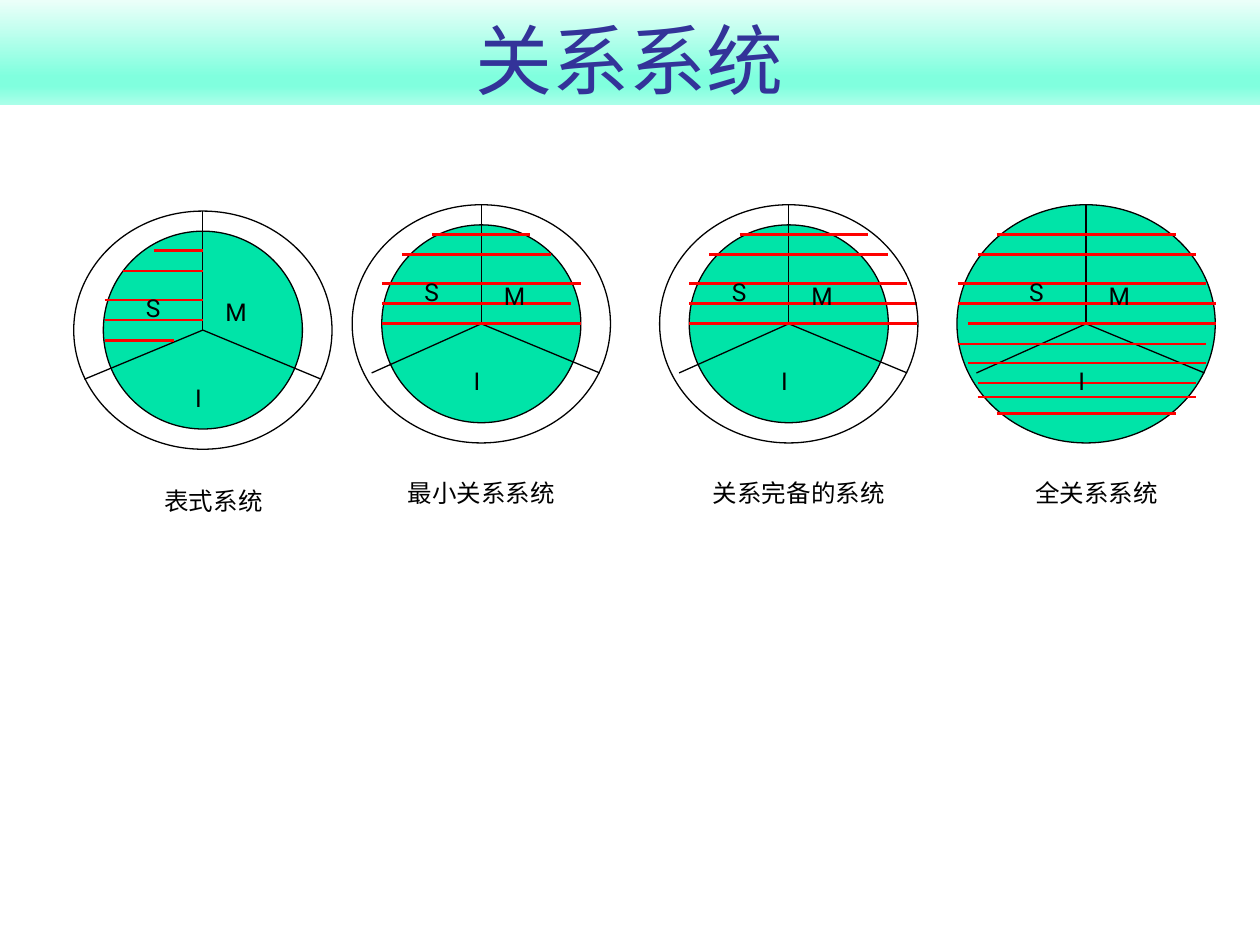
from copy import deepcopy
from dataclasses import dataclass

from pptx import Presentation
from pptx.dml.color import RGBColor
from pptx.enum.shapes import MSO_CONNECTOR, MSO_SHAPE
from pptx.enum.text import MSO_ANCHOR, PP_ALIGN
from pptx.oxml.ns import qn
from pptx.util import Inches, Pt
from lxml.etree import SubElement


@dataclass(frozen=True)
class Theme:
    font: str = "Roboto"
    title_color: str = "333399"
    ink: str = "000000"
    disc: str = "00E4A8"
    hatch: str = "FF0000"
    title_size: int = 44
    text_size: int = 14
    thin: float = 0.75
    thick: float = 1.5
    # Title band: position in percent, colour
    band: tuple = ((0, "F1FFFB"), (74, "80FFDE"), (83, "80FFDE"), (100, "AAFFE9"))


THEME = Theme()
OUTER_W, OUTER_H = 2.05, 1.89
INNER_W, INNER_H = 1.58, 1.57
TEXT_H = 0.52

# Hatch rows are (y, x from, x to), measured from the centre of the diagram
TABULAR = [(-0.71, -0.39, 0), (-0.55, -0.63, 0), (-0.32, -0.78, 0),
           (-0.16, -0.78, 0), (0, -0.78, -0.23)]
MINIMAL = [(-0.71, -0.39, 0.39), (-0.55, -0.63, 0.55), (-0.32, -0.79, 0.79),
           (-0.16, -0.79, 0.71), (0, -0.79, 0.79)]
COMPLETE = [(-0.71, -0.39, 0.63), (-0.55, -0.63, 0.79), (-0.32, -0.79, 0.94),
            (-0.16, -0.79, 1.02), (0, -0.79, 1.02)]
FULL = [(-0.71, -0.71, 0.71), (-0.55, -0.86, 0.87), (-0.32, -1.02, 0.95),
        (-0.16, -1.02, 1.03), (0, -0.94, 1.03), (0.16, -1.02, 0.95),
        (0.31, -0.94, 0.95), (0.47, -0.86, 0.87), (0.58, -0.86, 0.87),
        (0.71, -0.71, 0.71)]


@dataclass(frozen=True)
class System:
    caption: str
    caption_box: tuple  # left, top, width
    center: tuple
    hatch: list
    drop: float = 0  # how far letters and hatch sit below their usual place
    left_spoke: float = -0.87
    full: bool = False


SYSTEMS = [
    System("表式系统", (0.75, 3.57, 1.89), (1.61, 2.62), TABULAR, 0.08, -0.94),
    System("最小关系系统", (2.56, 3.51, 2.52), (3.82, 2.57), MINIMAL),
    System("关系完备的系统", (5, 3.51, 2.68), (6.26, 2.57), COMPLETE),
    System("全关系系统", (7.76, 3.51, 1.89), (8.62, 2.57), FULL, full=True),
]


def rgb(color):
    return RGBColor.from_string(color)


def write(shape, text, size, color, align):
    frame = shape.text_frame
    frame.word_wrap = True
    frame.vertical_anchor = MSO_ANCHOR.BOTTOM
    frame.margin_top = frame.margin_bottom = 0
    paragraph = frame.paragraphs[0]
    paragraph.text = text
    paragraph.alignment = align
    paragraph.font.name = THEME.font
    paragraph.font.size = Pt(size)
    paragraph.font.color.rgb = rgb(color)


def add_label(shapes, text, left, top, width, align=PP_ALIGN.LEFT):
    box = shapes.add_textbox(Inches(left), Inches(top), Inches(width), Inches(TEXT_H))
    write(box, text, THEME.text_size, THEME.ink, align)


def add_line(shapes, x1, y1, x2, y2, color, weight):
    line = shapes.add_connector(MSO_CONNECTOR.STRAIGHT, Inches(x1), Inches(y1),
                                Inches(x2), Inches(y2))
    line.line.color.rgb = rgb(color)
    line.line.width = Pt(weight)
    SubElement(line._element.spPr, qn("a:effectLst"))


def add_ellipse(shapes, cx, cy, width, height, fill=None):
    ellipse = shapes.add_shape(MSO_SHAPE.OVAL, Inches(cx - width / 2),
                               Inches(cy - height / 2), Inches(width), Inches(height))
    ellipse.shadow.inherit = False
    if fill:
        ellipse.fill.solid()
        ellipse.fill.fore_color.rgb = rgb(fill)
    else:
        ellipse.fill.background()
    ellipse.line.color.rgb = rgb(THEME.ink)
    ellipse.line.width = Pt(THEME.thin)


def add_title_band(slide, text, left, top, width, height):
    band = slide.shapes.add_shape(MSO_SHAPE.RECTANGLE, Inches(left), Inches(top),
                                  Inches(width), Inches(height))
    band.shadow.inherit = False
    band.line.fill.background()
    band.fill.gradient()
    band.fill.gradient_angle = 270
    # Widen the default two stops to the band's four
    stop_list = band._element.spPr.find(".//" + qn("a:gsLst"))
    for _ in range(len(THEME.band) - len(stop_list)):
        stop_list.append(deepcopy(stop_list[0]))
    for stop, (percent, color) in zip(band.fill.gradient_stops, THEME.band):
        stop.position = percent / 100
        stop.color.rgb = rgb(color)
    write(band, text, THEME.title_size, THEME.title_color, PP_ALIGN.CENTER)


def add_system(slide, system):
    cx, cy = system.center
    shapes = slide.shapes.add_group_shape().shapes

    # Disc, covering the whole ring in the full system
    if system.full:
        add_ellipse(shapes, cx, cy, OUTER_W, OUTER_H, THEME.disc)
    else:
        add_ellipse(shapes, cx, cy, INNER_W, INNER_H, THEME.disc)

    # Spokes between the three sectors
    for dx, dy in [(0, -OUTER_H / 2), (system.left_spoke, 0.39), (0.94, 0.39)]:
        add_line(shapes, cx, cy, cx + dx, cy + dy, THEME.ink, THEME.thin)

    # Hatch over the supported part
    level = cy + system.drop
    for dy, start, end in system.hatch:
        add_line(shapes, cx + start, level + dy, cx + end, level + dy,
                 THEME.hatch, THEME.thick)

    # Sector letters
    for letter, dx, dy, width in [("S", -0.55, -0.66, 0.39), ("M", 0.08, -0.63, 0.55),
                                  ("I", -0.16, 0.05, 0.55)]:
        add_label(shapes, letter, cx + dx, level + dy, width)

    # Outer ring
    if not system.full:
        add_ellipse(shapes, cx, cy, OUTER_W, OUTER_H)

    add_label(slide.shapes, system.caption, *system.caption_box, PP_ALIGN.CENTER)


def main():
    deck = Presentation()
    deck.slide_width, deck.slide_height = Inches(10), Inches(7.5)
    slide = deck.slides.add_slide(deck.slide_layouts[6])
    add_title_band(slide, "关系系统", 0, -0.03, 10, 0.86)
    for system in SYSTEMS:
        add_system(slide, system)
    deck.save("out.pptx")


if __name__ == "__main__":
    main()
